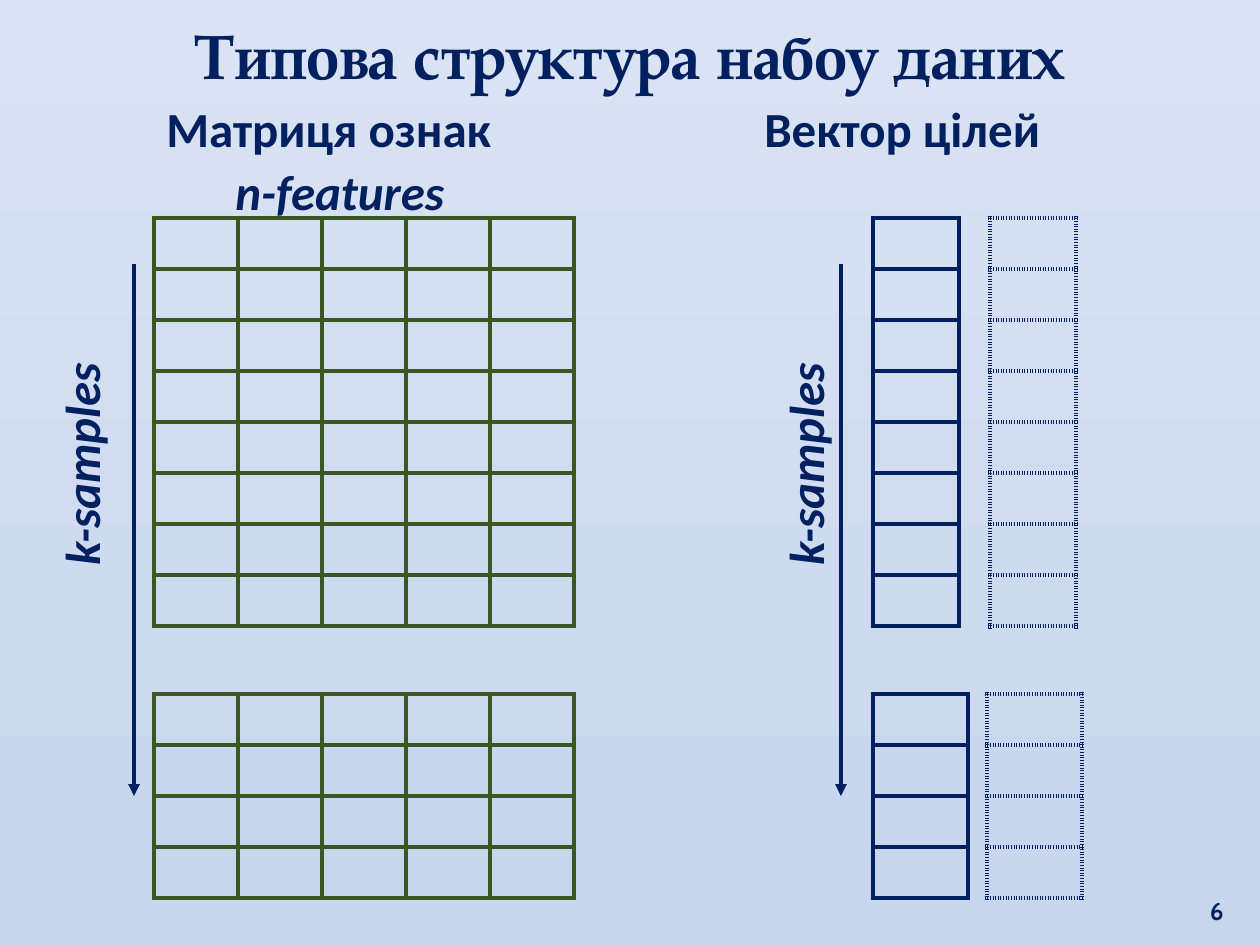
"""Build a slide showing a feature matrix beside a target vector."""
import pptx
import pptx.dml.color
import pptx.enum.shapes
import pptx.enum.text
import pptx.oxml.ns
import pptx.util
import lxml.etree

SCALE = 914400 / 126
THEME = {
    "navy": "002060",
    "green": "385723",
    "background": ("DAE3F3", "C7D5ED"),
    "title_font": "TeX Gyre Pagella",
    "body_font": "Calibri",
    "number_font": "Cabin",
    "title_size": 36,
    "label_size": 28,
    "number_size": 14,
    "border": 3,
    "arrow": 2.25,
}
ALIGN = pptx.enum.text.PP_ALIGN
ANCHOR = pptx.enum.text.MSO_ANCHOR
qn = pptx.oxml.ns.qn

presentation = pptx.Presentation()
presentation.slide_width = pptx.util.Inches(10)
presentation.slide_height = pptx.util.Inches(7.5)
slide = presentation.slides.add_slide(presentation.slide_layouts[6])

background_fill = slide.background.fill
background_fill.gradient()
background_fill.gradient_angle = 270
for stop, position, color in zip(background_fill.gradient_stops, (0, 1), THEME["background"]):
    stop.position = position
    stop.color.rgb = pptx.dml.color.RGBColor.from_string(color)


def add_text(text, box, font=THEME["body_font"], size=THEME["label_size"], italic=False,
             align=ALIGN.LEFT, anchor=ANCHOR.TOP, wrap=False, grow=True, rotation=0):
    shape = slide.shapes.add_textbox(*(round(value * SCALE) for value in box))
    shape.rotation = rotation
    frame = shape.text_frame
    frame.word_wrap = wrap
    frame.vertical_anchor = anchor
    kinds = pptx.enum.text.MSO_AUTO_SIZE
    frame.auto_size = kinds.SHAPE_TO_FIT_TEXT if grow else kinds.NONE
    paragraph = frame.paragraphs[0]
    paragraph.alignment = align
    run = paragraph.add_run()
    run.text = text
    run.font.name = font
    run.font.size = pptx.util.Pt(size)
    run.font.bold = True
    run.font.italic = italic
    run.font.color.rgb = pptx.dml.color.RGBColor.from_string(THEME["navy"])


def add_grid(left, top, columns, rows, cell_width, color, dash):
    cell_height = 51
    box = (left, top, columns * cell_width, rows * cell_height)
    table = slide.shapes.add_table(rows, columns, *(round(value * SCALE) for value in box)).table
    table.first_row = False
    table.horz_banding = False
    for column in table.columns:
        column.width = round(cell_width * SCALE)
    for row in table.rows:
        row.height = round(cell_height * SCALE)
    for cell in table.iter_cells():
        cell.fill.background()
        properties = cell._tc.get_or_add_tcPr()
        for index, side in enumerate(("lnL", "lnR", "lnT", "lnB")):
            line = lxml.etree.Element(qn("a:" + side), w=str(pptx.util.Pt(THEME["border"])))
            solid = lxml.etree.SubElement(line, qn("a:solidFill"))
            lxml.etree.SubElement(solid, qn("a:srgbClr"), val=color)
            lxml.etree.SubElement(line, qn("a:prstDash"), val=dash)
            properties.insert(index, line)


add_text("6", (1176, 869, 60, 63), font=THEME["number_font"], size=THEME["number_size"],
         align=ALIGN.RIGHT, anchor=ANCHOR.BOTTOM, wrap=True, grow=False)
add_text("Типова структура набоу даних", (15, 10, 1230, 89), font=THEME["title_font"],
         size=THEME["title_size"], align=ALIGN.CENTER, wrap=True)
add_text("Матриця ознак", (154, 92, 354, 72))
add_text("Вектор цілей", (752, 92, 305, 72))
add_text("n-features", (223, 155, 237, 72), italic=True)

for top, rows, vector_width, dotted_left in ((218, 8, 86, 990), (694, 4, 95, 987)):
    add_grid(154, top, 5, rows, 84, THEME["green"], "solid")
    add_grid(873, top, 1, rows, vector_width, THEME["navy"], "solid")
    add_grid(dotted_left, top, 1, rows, vector_width, THEME["navy"], "sysDot")

for label_left, arrow_x in ((-35, 134), (689, 841)):
    add_text("k-samples", (label_left, 426, 232, 72), italic=True, rotation=270)
    arrow = slide.shapes.add_connector(
        pptx.enum.shapes.MSO_CONNECTOR.STRAIGHT,
        *(round(value * SCALE) for value in (arrow_x, 264, arrow_x, 796)))
    arrow.line.color.rgb = pptx.dml.color.RGBColor.from_string(THEME["navy"])
    arrow.line.width = pptx.util.Pt(THEME["arrow"])
    lxml.etree.SubElement(arrow.line._get_or_add_ln(), qn("a:tailEnd"), type="triangle")
    lxml.etree.SubElement(arrow._element.spPr, qn("a:effectLst"))

presentation.save("out.pptx")
